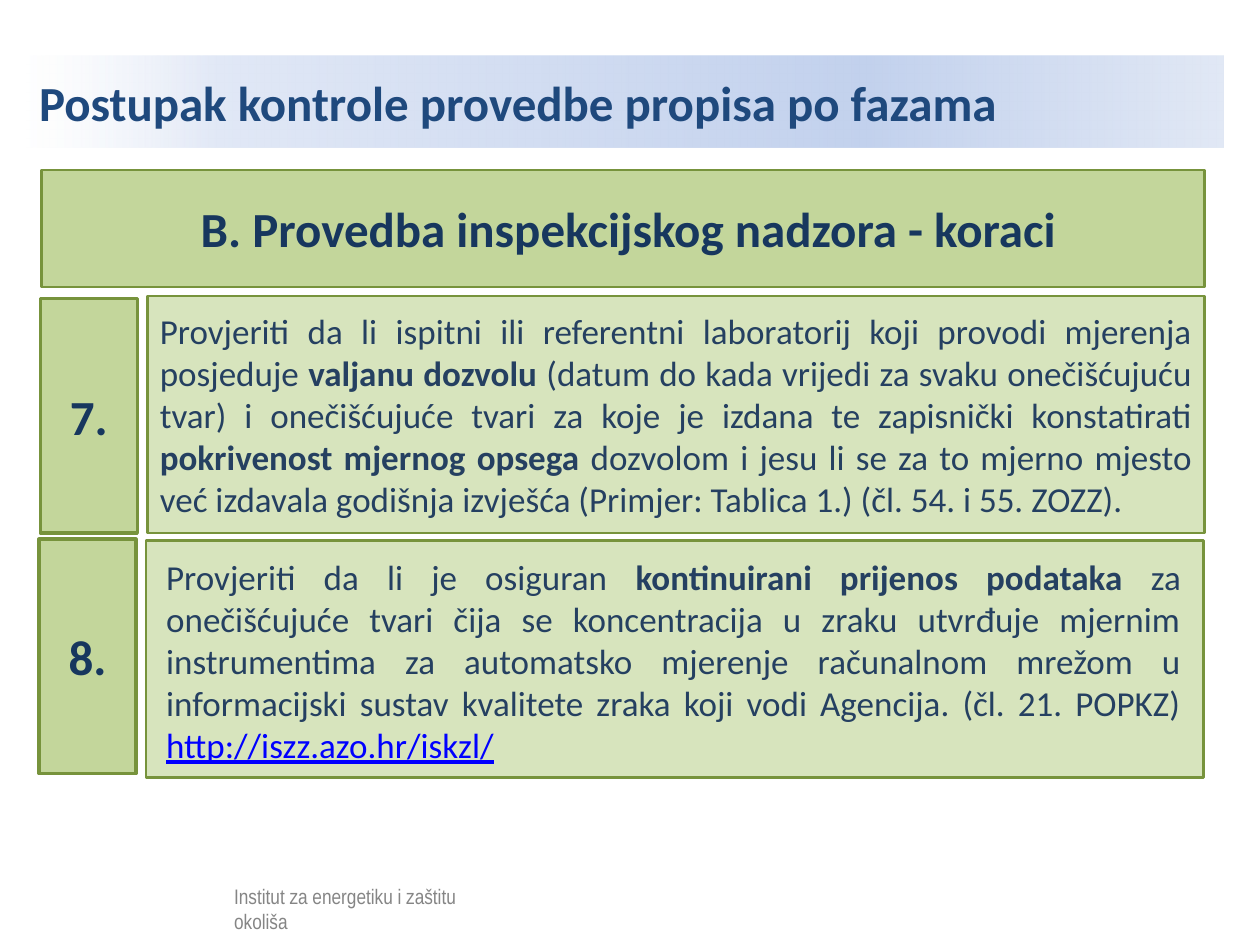
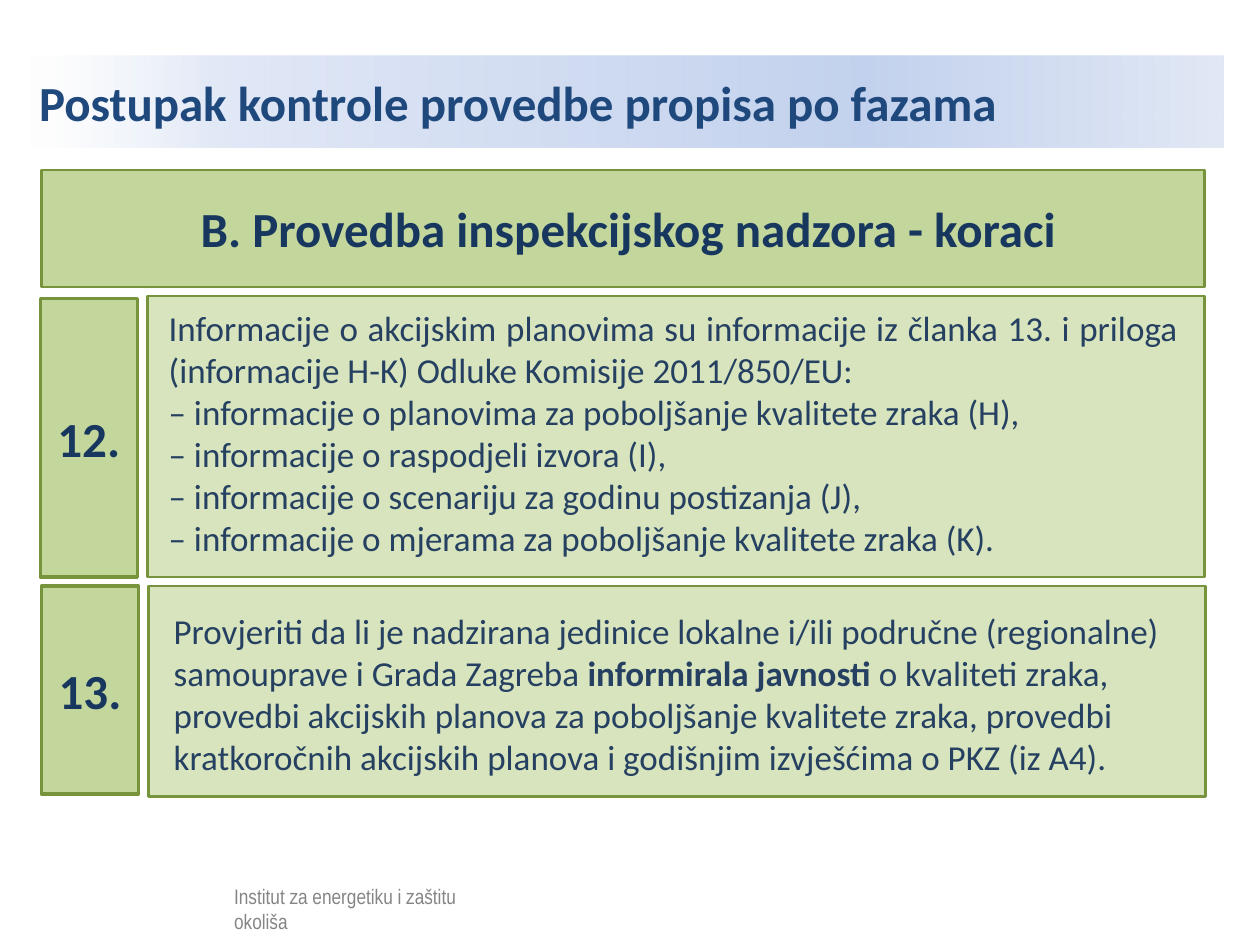
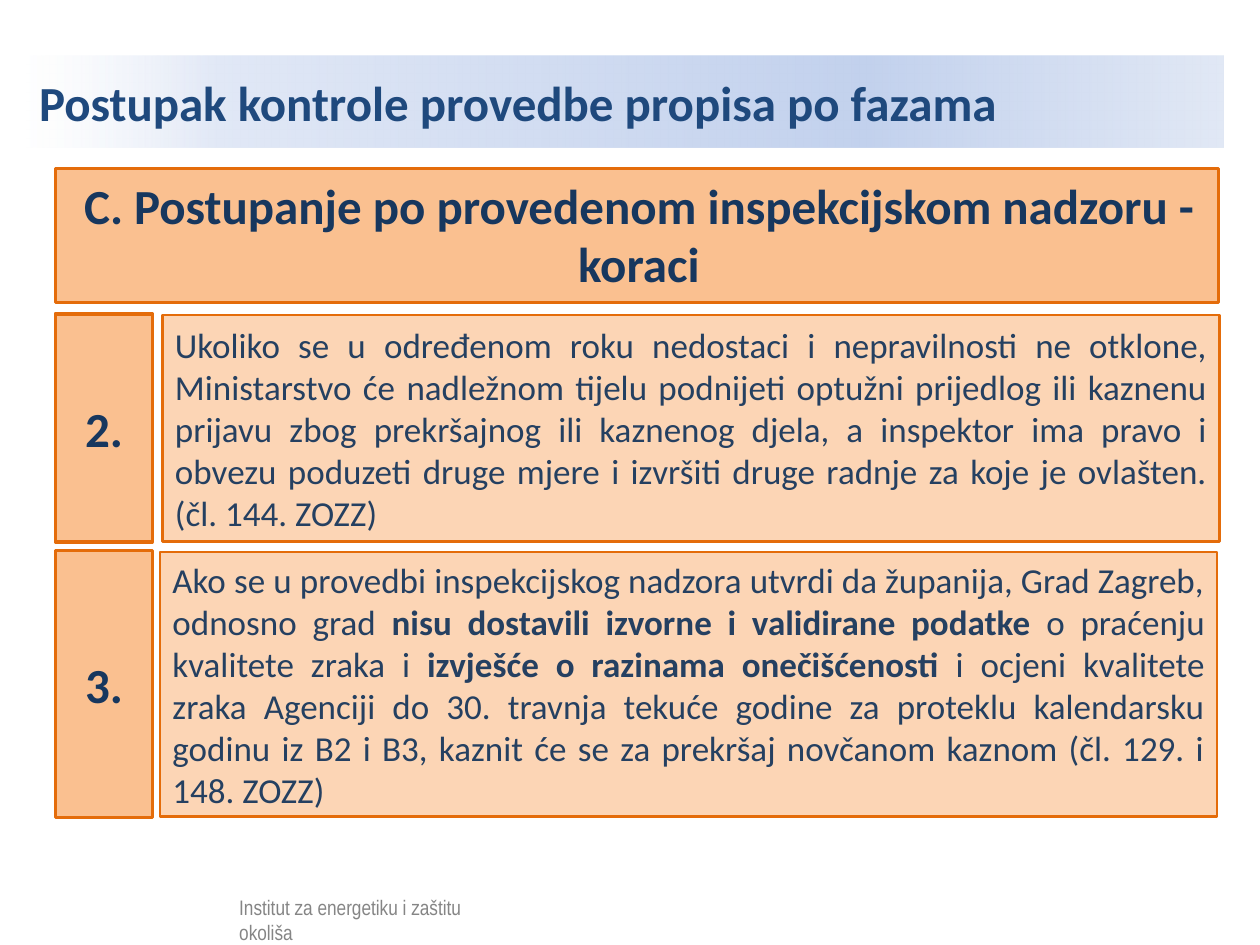
"""Build three slides on the steps of environmental inspection."""
from dataclasses import dataclass
from typing import Optional

from lxml.etree import SubElement
from pptx import Presentation
from pptx.dml.color import RGBColor
from pptx.enum.shapes import MSO_SHAPE
from pptx.enum.text import MSO_ANCHOR, MSO_AUTO_SIZE, PP_ALIGN
from pptx.oxml.ns import qn
from pptx.util import Inches, Pt


@dataclass(frozen=True)
class Palette:
    strong: str
    light: str
    border: str


@dataclass(frozen=True)
class Theme:
    font: str = "Calibri"
    footer_font: str = "Arial Narrow"
    title: str = "1F497D"
    heading: str = "17375E"
    body: str = "254061"
    link: str = "0000FF"
    footer: str = "000000"
    veil: str = "FFFFFF"
    veil_opacity: int = 52
    band: tuple = ((0, "FFFFFF", 52), (16, "E1E8F6", 100), (70, "C2D1ED", 100), (100, "E1E8F5", 100))
    heading_size: int = 28
    body_size: int = 20
    footer_size: int = 12
    panel_line: float = 1.5
    number_line: float = 2
    green: Palette = Palette("C3D69B", "D7E4BD", "77933C")
    orange: Palette = Palette("FAC090", "FCD5B5", "E46C0A")


@dataclass(frozen=True)
class Step:
    number: str
    number_place: tuple
    panel_place: tuple
    paragraphs: tuple
    text_place: Optional[tuple] = None
    align: PP_ALIGN = PP_ALIGN.JUSTIFY
    link: str = ""


@dataclass(frozen=True)
class Section:
    heading: str
    palette: Palette
    heading_place: tuple
    heading_text_place: tuple
    footer_place: tuple
    steps: tuple


TITLE = "Postupak kontrole provedbe propisa po fazama"
FOOTER = "Institut za energetiku i zaštitu okoliša"
NUMBER_WIDTH = 0.77
PANEL_WIDTH = 8.39
THEME = Theme()
SUPERVISION = dict(
    heading=" B. Provedba inspekcijskog nadzora - koraci",
    palette=THEME.green,
    heading_place=(0.33, 1.35, 9.23, 0.93),
    heading_text_place=(0.33, 1.53, 9.22, 0.57),
    footer_place=(0.41, 6.93),
)

SECTIONS = (
    Section(**SUPERVISION, steps=(
        Step("7.", (0.32, 2.37, 1.86), (1.17, 2.35, 1.88), (
            "Provjeriti da li ispitni ili referentni laboratorij koji provodi mjerenja posjeduje "
            "*valjanu dozvolu *(datum do kada vrijedi za svaku onečišćujuću tvar) i onečišćujuće "
            "tvari za koje je izdana te zapisnički konstatirati *pokrivenost mjernog opsega* "
            "dozvolom i jesu li se za to mjerno mjesto već izdavala godišnja izvješća "
            "(Primjer: Tablica 1.) (čl. 54. i 55. ZOZZ).",)),
        Step("8.", (0.31, 4.28, 1.86), (1.16, 4.29, 1.88), (
            "Provjeriti da li je osiguran *kontinuirani prijenos podataka* za onečišćujuće tvari "
            "čija se koncentracija u zraku utvrđuje mjernim instrumentima za automatsko mjerenje "
            "računalnom mrežom u informacijski sustav kvalitete zraka koji vodi Agencija. "
            "(čl. 21. POPKZ) ",),
            text_place=(1.22, 4.36, 8.25, 1.78), link="http://iszz.azo.hr/iskzl/"),
    )),
    Section(**SUPERVISION, steps=(
        Step("12.", (0.32, 2.37, 2.21), (1.17, 2.35, 2.23), (
            "Informacije o akcijskim planovima su informacije iz članka 13. i priloga "
            "(informacije H-K) Odluke Komisije 2011/850/EU:",
            "– informacije o planovima za poboljšanje kvalitete zraka (H),",
            "– informacije o raspodjeli izvora (I),",
            "– informacije o scenariju za godinu postizanja (J),",
            "– informacije o mjerama za poboljšanje kvalitete zraka (K)."),
            text_place=(1.24, 2.38, 8.21, 2.12)),
        Step("13.", (0.33, 4.65, 1.65), (1.18, 4.65, 1.67), (
            "Provjeriti da li je nadzirana jedinice lokalne i/ili područne (regionalne) "
            "samouprave i Grada Zagreba *informirala javnosti* o kvaliteti zraka, provedbi "
            "akcijskih planova za poboljšanje kvalitete zraka, provedbi kratkoročnih akcijskih "
            "planova i godišnjim izvješćima o PKZ (iz A4).",),
            text_place=(1.28, 4.79, 8.14, 1.45), align=PP_ALIGN.LEFT),
    )),
    Section(
        heading="C. Postupanje po provedenom inspekcijskom nadzoru - koraci",
        palette=THEME.orange,
        heading_place=(0.44, 1.34, 9.23, 1.06),
        heading_text_place=(0.46, 1.34, 9.22, 1.04),
        footer_place=(0.45, 7.02),
        steps=(
            Step("2.", (0.44, 2.49, 1.81), (1.29, 2.5, 1.8), (
                "Ukoliko se u određenom roku nedostaci i nepravilnosti ne otklone, Ministarstvo "
                "će nadležnom tijelu podnijeti optužni prijedlog ili kaznenu prijavu zbog "
                "prekršajnog ili kaznenog djela, a inspektor ima pravo i obvezu poduzeti druge "
                "mjere i izvršiti druge radnje za koje je ovlašten. (čl. 144. ZOZZ)",)),
            Step("3.", (0.44, 4.37, 2.12), (1.27, 4.38, 2.1), (
                "Ako se u provedbi inspekcijskog nadzora utvrdi da županija, Grad Zagreb, odnosno "
                "grad *nisu dostavili izvorne i validirane podatke *o praćenju kvalitete zraka i "
                "*izvješće o razinama onečišćenosti* i ocjeni kvalitete zraka Agenciji do "
                "30. travnja tekuće godine za proteklu kalendarsku godinu iz B2 i B3, kaznit će "
                "se za prekršaj novčanom kaznom (čl. 129. i 148. ZOZZ)",)),
        ),
    ),
)


class Deck:
    """Hold the theme and the current slide, and draw each kind of element."""

    def __init__(self, theme):
        self.theme = theme
        self.presentation = Presentation()
        self.presentation.slide_width = Inches(10)
        self.presentation.slide_height = Inches(7.5)
        self.slide = None

    def new_slide(self):
        """Start a slide from the title-only layout."""
        self.slide = self.presentation.slides.add_slide(self.presentation.slide_layouts[5])

    def style(self, run, size, color, bold=False, font=None):
        """Give a run its font, size, weight and colour."""
        run.font.name = font or self.theme.font
        run.font.size = Pt(size)
        run.font.bold = bold
        run.font.color.rgb = RGBColor.from_string(color)

    def title(self, wording):
        """Place the title over its gradient band."""
        title = self.slide.shapes.title
        title.left, title.top, title.width, title.height = map(Inches, (0.21, 0.44, 9.5, 0.73))
        title.fill.gradient()
        title.fill.gradient_angle = 0
        stops = title.element.find(".//" + qn("a:gsLst"))
        for stop in list(stops):
            stops.remove(stop)
        for position, color, opacity in self.theme.band:
            stop = SubElement(stops, qn("a:gs"), pos=str(position * 1000))
            tint = SubElement(stop, qn("a:srgbClr"), val=color)
            SubElement(tint, qn("a:alpha"), val=str(opacity * 1000))
        frame = title.text_frame
        frame.text = wording
        frame.auto_size = MSO_AUTO_SIZE.NONE
        frame.vertical_anchor = MSO_ANCHOR.MIDDLE
        paragraph = frame.paragraphs[0]
        paragraph.alignment = PP_ALIGN.LEFT
        properties = paragraph._p.get_or_add_pPr()
        properties.set("marL", str(Inches(0.98)))
        properties.set("indent", str(-Inches(0.98)))
        self.style(paragraph.runs[0], self.theme.heading_size, self.theme.title, bold=True)

    def box(self, place, fill, border=None, weight=0, shapes=None):
        """Draw a flat rectangle."""
        box = (shapes or self.slide.shapes).add_shape(MSO_SHAPE.RECTANGLE, *map(Inches, place))
        box.shadow.inherit = False
        box.fill.solid()
        box.fill.fore_color.rgb = RGBColor.from_string(fill)
        if border:
            box.line.color.rgb = RGBColor.from_string(border)
            box.line.width = Pt(weight)
        else:
            box.line.fill.background()
        box.text_frame.word_wrap = True
        box.text_frame.vertical_anchor = MSO_ANCHOR.MIDDLE
        return box

    def text_area(self, place, shapes=None):
        """Add a wrapping text box and return its frame."""
        area = (shapes or self.slide.shapes).add_textbox(*map(Inches, place))
        area.text_frame.word_wrap = True
        return area.text_frame

    def label(self, frame, wording):
        """Write a centred bold label."""
        frame.text = wording
        frame.paragraphs[0].alignment = PP_ALIGN.CENTER
        self.style(frame.paragraphs[0].runs[0], self.theme.heading_size, self.theme.heading, bold=True)

    def body(self, frame, step):
        """Write the step text, with starred parts in bold and the address last."""
        size = self.theme.body_size
        for index, wording in enumerate(step.paragraphs):
            paragraph = frame.add_paragraph() if index else frame.paragraphs[0]
            paragraph.alignment = step.align
            for part, words in enumerate(wording.split("*")):
                run = paragraph.add_run()
                run.text = words
                self.style(run, size, self.theme.body, bold=part % 2 == 1)
        if step.link:
            address = paragraph.add_run()
            address.text = step.link
            self.style(address, size, self.theme.link)
            address.font.underline = True

    def heading(self, section):
        """Draw the section heading bar and its wording."""
        palette = section.palette
        self.box(section.heading_place, palette.strong, palette.border, self.theme.panel_line)
        self.label(self.text_area(section.heading_text_place), section.heading)

    def step(self, step, palette):
        """Draw a numbered step with its text panel."""
        left, top, height = step.panel_place
        panel = self.box((left, top, PANEL_WIDTH, height), palette.light, palette.border,
                         self.theme.panel_line)
        frame = self.text_area(step.text_place) if step.text_place else panel.text_frame
        self.body(frame, step)
        left, top, height = step.number_place
        number = self.box((left, top, NUMBER_WIDTH, height), palette.strong, palette.border,
                          self.theme.number_line)
        self.label(number.text_frame, step.number)

    def footer(self, place, wording):
        """Write the footer and soften it with a translucent veil."""
        left, top = place
        group = self.slide.shapes.add_group_shape().shapes
        frame = self.text_area((left + 1.35, top + 0.03, 2.09, 0.25), group)
        frame.text = wording
        self.style(frame.paragraphs[0].runs[0], self.theme.footer_size, self.theme.footer,
                   font=self.theme.footer_font)
        veil = self.box((left, top, 3.82, 0.48), self.theme.veil, shapes=group)
        tint = veil.element.spPr.find(qn("a:solidFill")).find(qn("a:srgbClr"))
        SubElement(tint, qn("a:alpha"), val=str(self.theme.veil_opacity * 1000))


def main():
    """Build every section slide and save the deck."""
    deck = Deck(THEME)
    for section in SECTIONS:
        deck.new_slide()
        deck.title(TITLE)
        deck.footer(section.footer_place, FOOTER)
        deck.heading(section)
        for step in section.steps:
            deck.step(step, section.palette)
    deck.presentation.save("out.pptx")


if __name__ == "__main__":
    main()
